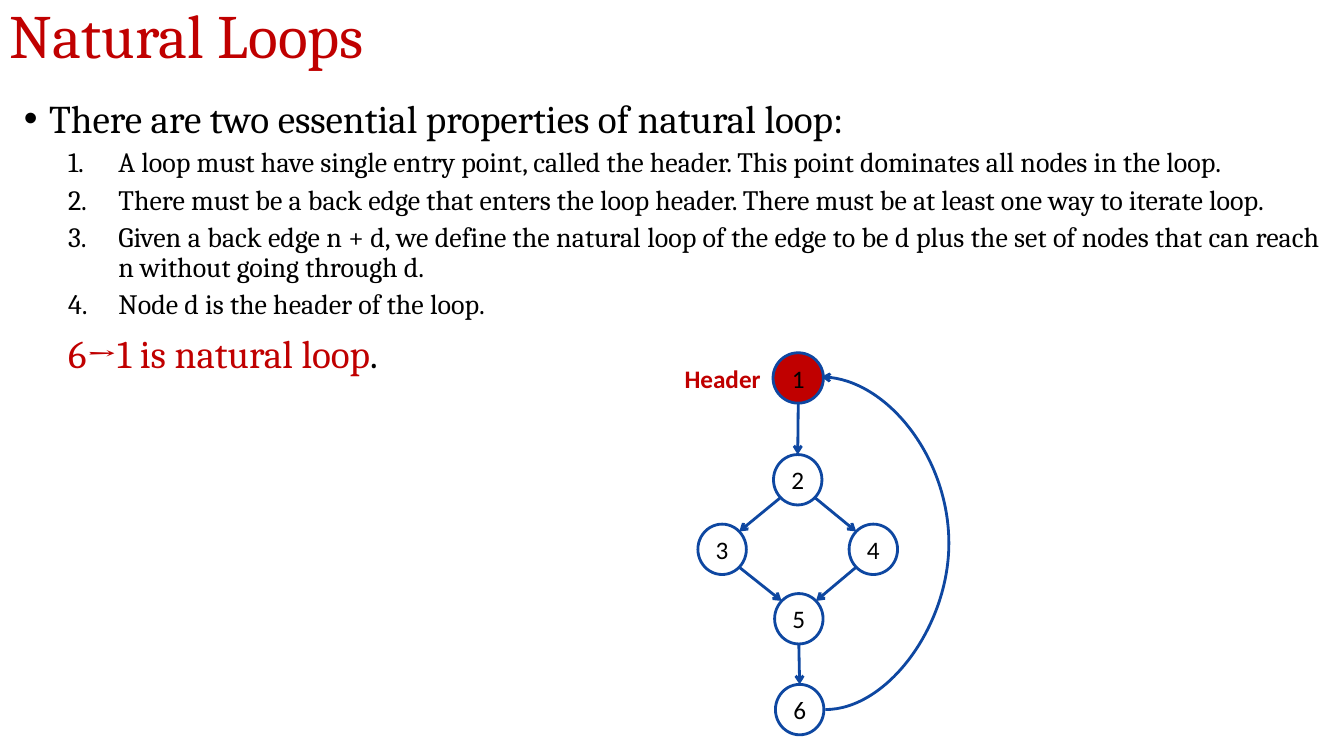
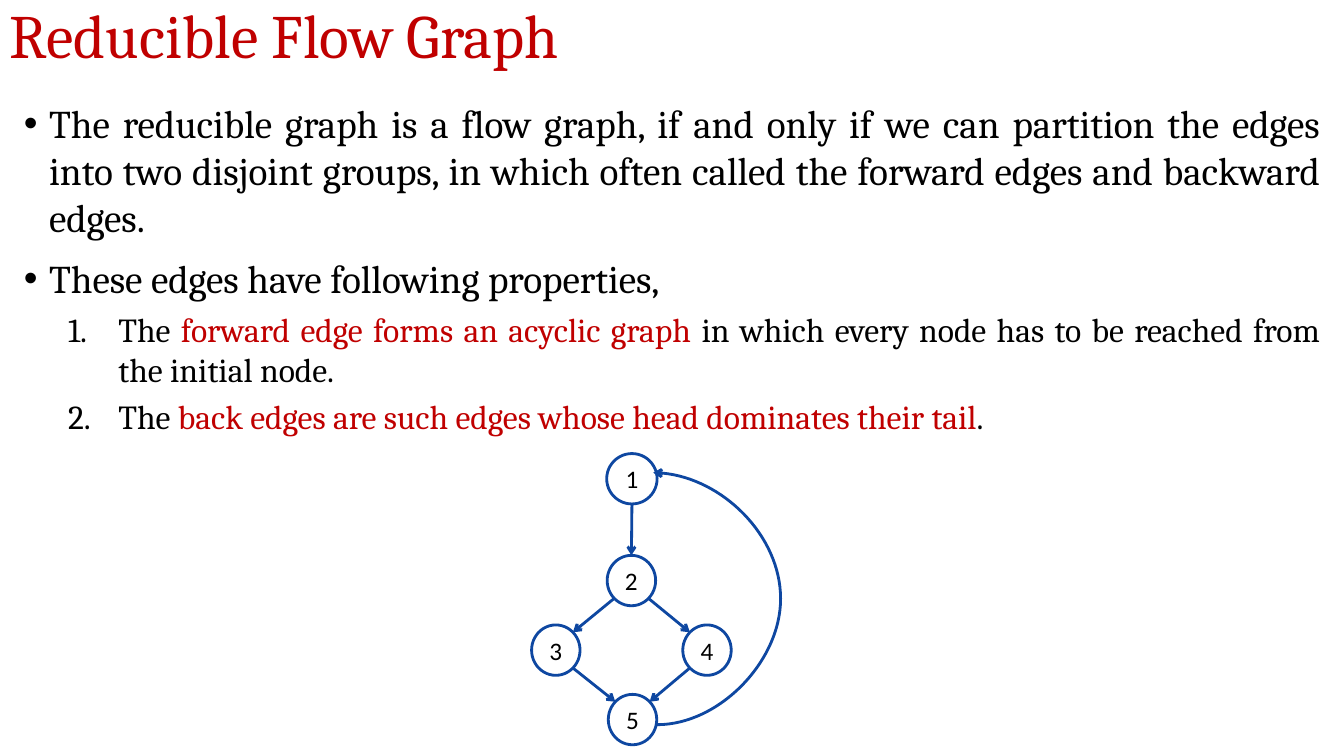
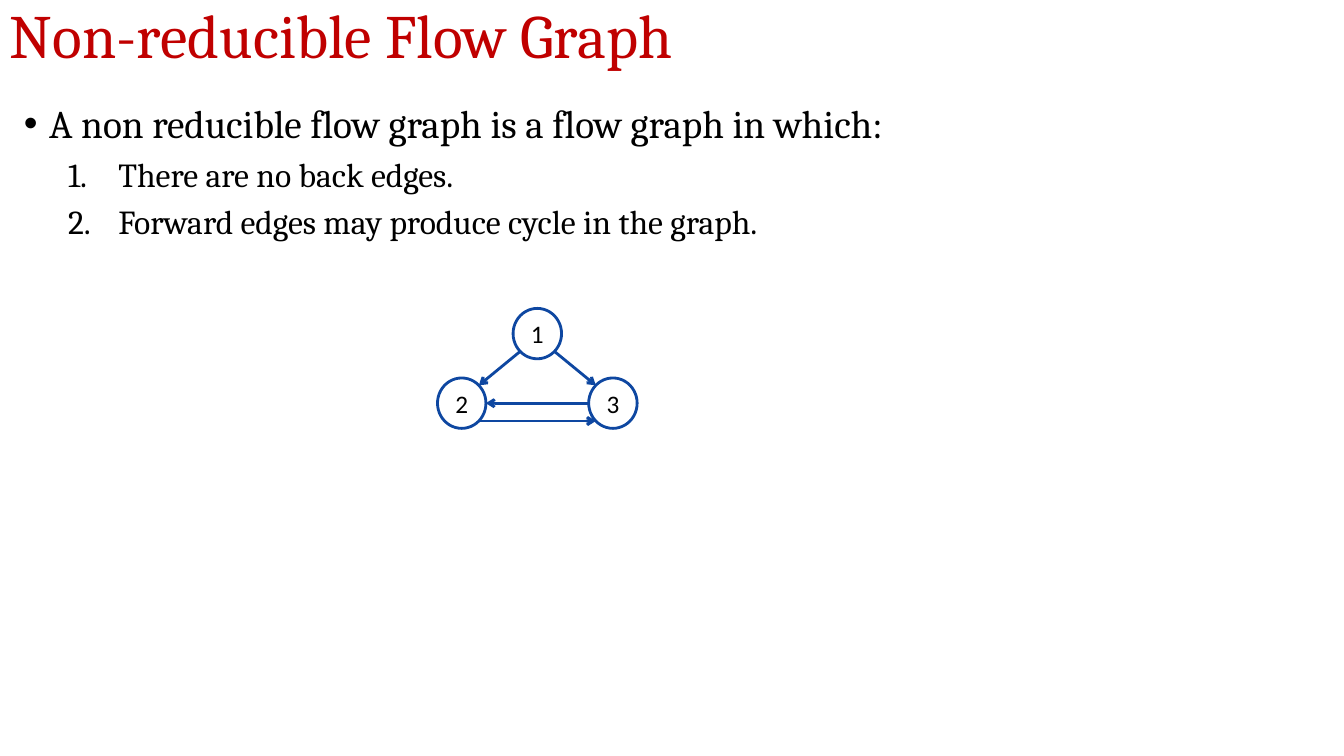
import math

import pptx
import pptx.dml.color
import pptx.enum.shapes
import pptx.enum.text
import pptx.oxml.ns
import pptx.util
from lxml import etree

Pt = pptx.util.Pt
ALIGN = pptx.enum.text.PP_ALIGN
ANCHOR = pptx.enum.text.MSO_ANCHOR
CONNECTOR = pptx.enum.shapes.MSO_CONNECTOR


class Theme:
    red, black, blue = "C00000", "000000", "0E47A1"
    serif, sans = "Cambria", "Calibri"
    title, body, node = 44, 28, 18
    stroke = 2
    node_height = 36
    bulge = 88


# Paragraph kinds: left margin, first-line indent, space before, level, bullet
KINDS = {
    "point": (18, -18, 10, 0, ("buChar", {"char": "•"})),
    "step": (67.5, -36, 5, 1, ("buAutoNum", {"type": "arabicPeriod"})),
    "note": (31.5, 0, 10, 0, None),
}

# Nodes: centre x and y relative to the entry node, width
DIAMOND = {
    "1": (0, 0, 36),
    "2": (-0.4, 72.7, 34.6),
    "3": (-54.4, 122.4, 34.6),
    "4": (53.6, 122.4, 34.6),
    "5": (0.4, 172, 34.6),
}
TRIANGLE = {"1": (0, 0, 34.6), "2": (-54, 49.7, 34.6), "3": (54, 49.7, 34.6)}

# Edges: from node, its port, to node, its port
DIAMOND_EDGES = [
    ("1", "S", "2", "N"), ("2", "SW", "3", "NE"), ("2", "SE", "4", "NW"),
    ("3", "SE", "5", "NW"), ("4", "SW", "5", "NE"),
]
TRIANGLE_EDGES = [
    ("1", "SW", "2", "NE"), ("1", "SE", "3", "NW"),
    ("3", "W", "2", "E"), ("2", "SE", "3", "SW"),
]
DIAGONAL = math.sqrt(0.5)
PORTS = {
    "N": (0, -1), "S": (0, 1), "W": (-1, 0), "E": (1, 0),
    "NE": (DIAGONAL, -DIAGONAL), "NW": (-DIAGONAL, -DIAGONAL),
    "SE": (DIAGONAL, DIAGONAL), "SW": (-DIAGONAL, DIAGONAL),
}

# Red passages stand between asterisks
SLIDES = [
    {
        "title": "Natural Loops",
        "spacing": 0.9,
        "step_size": 20,
        "text": [
            ("point", "There are two essential properties of natural loop:"),
            ("step", "A loop must have single entry point, called the header. "
                     "This point dominates all nodes in the loop."),
            ("step", "There must be a back edge that enters the loop header. "
                     "There must be at least one way to iterate loop."),
            ("step", "Given a back edge n + d, we define the natural loop of the edge to be "
                     "d plus the set of nodes that can reach n without going through d."),
            ("step", "Node d is the header of the loop."),
            ("note", "*6→1 is natural loop*."),
        ],
        "graph": {
            "origin": (570.2, 270),
            "nodes": {**DIAMOND, "6": (1, 236.9, 34.6)},
            "edges": DIAMOND_EDGES + [("5", "S", "6", "N")],
            "back_edge": (19.4, 236.9, 16.6, -0.7),
            "header": "1",
        },
    },
    {
        "title": "Reducible Flow Graph",
        "spacing": 1.0,
        "step_size": 24,
        "text": [
            ("point", "The reducible graph is a flow graph, if and only if we can partition "
                      "the edges into two disjoint groups, in which often called the forward "
                      "edges and backward edges."),
            ("point", "These edges have following properties,"),
            ("step", "The *forward edge forms an acyclic graph *in which every node has to be "
                     "reached from the initial node."),
            ("step", "The *back edges are such edges whose head dominates their tail*."),
        ],
        "graph": {
            "origin": (451.4, 342),
            "nodes": DIAMOND,
            "edges": DIAMOND_EDGES,
            "back_edge": (18, 175.7, 15.2, -4.3),
        },
    },
    {
        "title": "Non-reducible Flow Graph",
        "spacing": 1.0,
        "step_size": 24,
        "text": [
            ("point", "A non reducible flow graph is a flow graph in which:"),
            ("step", "There are no back edges."),
            ("step", "Forward edges may produce cycle in the graph."),
        ],
        "graph": {
            "origin": (383.8, 238.3),
            "nodes": TRIANGLE,
            "edges": TRIANGLE_EDGES,
        },
    },
]


def rgb(value):
    return pptx.dml.color.RGBColor.from_string(value)


def add_element(parent, tag, **attributes):
    return etree.SubElement(parent, pptx.oxml.ns.qn("a:" + tag), attributes)


def apply(target, values):
    for name, value in values.items():
        setattr(target, name, value)


def add_run(p, text, size, color, font, bold=False):
    r = p.add_run()
    r.text = text
    apply(r.font, {"size": Pt(size), "name": font, "bold": bold})
    r.font.color.rgb = rgb(color)


def add_box(s, x, y, w, h):
    tf = s.shapes.add_textbox(Pt(x), Pt(y), Pt(w), Pt(h)).text_frame
    tf.word_wrap = True
    return tf


def add_title(s, text):
    p = add_box(s, 0, 0, 960, 56).paragraphs[0]
    p.line_spacing = 0.9
    add_run(p, text, Theme.title, Theme.red, Theme.serif)


def add_body(s, content):
    tf = add_box(s, 10, 67.5, 940, 440)
    for i, (kind, text) in enumerate(content["text"]):
        p = tf.add_paragraph() if i else tf.paragraphs[0]
        margin, indent, before, level, bullet = KINDS[kind]
        pPr = p._p.get_or_add_pPr()
        apply_margin = {"marL": margin, "indent": indent}
        for name, value in apply_margin.items():
            pPr.set(name, str(Pt(value)))
        if bullet:
            tag, attributes = bullet
            add_element(pPr, "buFont", typeface="Arial" if tag == "buChar" else "+mj-lt")
            add_element(pPr, tag, **attributes)
        apply(p, {"level": level, "alignment": ALIGN.JUSTIFY,
                  "line_spacing": content["spacing"],
                  "space_before": Pt(before if i else 0)})
        size = content["step_size"] if kind == "step" else Theme.body
        for k, part in enumerate(text.split("*")):
            if part:
                add_run(p, part, size, Theme.red if k % 2 else Theme.black, Theme.serif)


def center_label(tf, text, color, bold=False):
    apply(tf, {"vertical_anchor": ANCHOR.MIDDLE, "margin_left": 0, "margin_right": 0})
    p = tf.paragraphs[0]
    p.alignment = ALIGN.CENTER
    add_run(p, text, Theme.node, color, Theme.sans, bold)


def add_node(s, name, x, y, w, is_header):
    h = Theme.node_height
    sp = s.shapes.add_shape(pptx.enum.shapes.MSO_SHAPE.OVAL,
                            Pt(x - w / 2), Pt(y - h / 2), Pt(w), Pt(h))
    sp.shadow.inherit = False
    if is_header:
        sp.fill.solid()
        sp.fill.fore_color.rgb = rgb(Theme.red)
        center_label(add_box(s, x - 90, y - 12, 72, 24), "Header", Theme.red, bold=True)
    else:
        sp.fill.background()
    sp.line.color.rgb = rgb(Theme.blue)
    sp.line.width = Pt(Theme.stroke)
    center_label(sp.text_frame, name, Theme.black)


def add_arrow(s, kind, x1, y1, x2, y2):
    line = s.shapes.add_connector(kind, Pt(x1), Pt(y1), Pt(x2), Pt(y2))
    line.line.color.rgb = rgb(Theme.blue)
    line.line.width = Pt(Theme.stroke)
    add_element(line.line._get_or_add_ln(), "tailEnd", type="arrow")
    add_element(line._element.spPr, "effectLst")
    return line


def add_back_edge(s, x1, y1, x2, y2):
    """Curve that swings out to the right of both its ends."""
    curve = add_arrow(s, CONNECTOR.CURVE, x1, y1, x2, y2)
    adjust = round(-Theme.bulge / (x1 - x2) * 100000)
    geometry = curve._element.spPr.find(pptx.oxml.ns.qn("a:prstGeom"))
    values = geometry.find(pptx.oxml.ns.qn("a:avLst"))
    if values is None:
        values = add_element(geometry, "avLst")
    add_element(values, "gd", name="adj1", fmla=f"val {adjust}")


def add_graph(s, graph):
    ox, oy = graph["origin"]
    nodes = {name: (ox + x, oy + y, w) for name, (x, y, w) in graph["nodes"].items()}

    def port(name, side):
        x, y, w = nodes[name]
        dx, dy = PORTS[side]
        return x + dx * w / 2, y + dy * Theme.node_height / 2

    for name, (x, y, w) in nodes.items():
        add_node(s, name, x, y, w, name == graph.get("header"))
    for start, out_side, end, in_side in graph["edges"]:
        add_arrow(s, CONNECTOR.STRAIGHT, *port(start, out_side), *port(end, in_side))
    if "back_edge" in graph:
        x1, y1, x2, y2 = graph["back_edge"]
        add_back_edge(s, ox + x1, oy + y1, ox + x2, oy + y2)


def main():
    prs = pptx.Presentation()
    apply(prs, {"slide_width": Pt(960), "slide_height": Pt(540)})
    for content in SLIDES:
        s = prs.slides.add_slide(prs.slide_layouts[6])
        add_title(s, content["title"])
        add_body(s, content)
        add_graph(s, content["graph"])
    prs.save("out.pptx")


if __name__ == "__main__":
    main()
